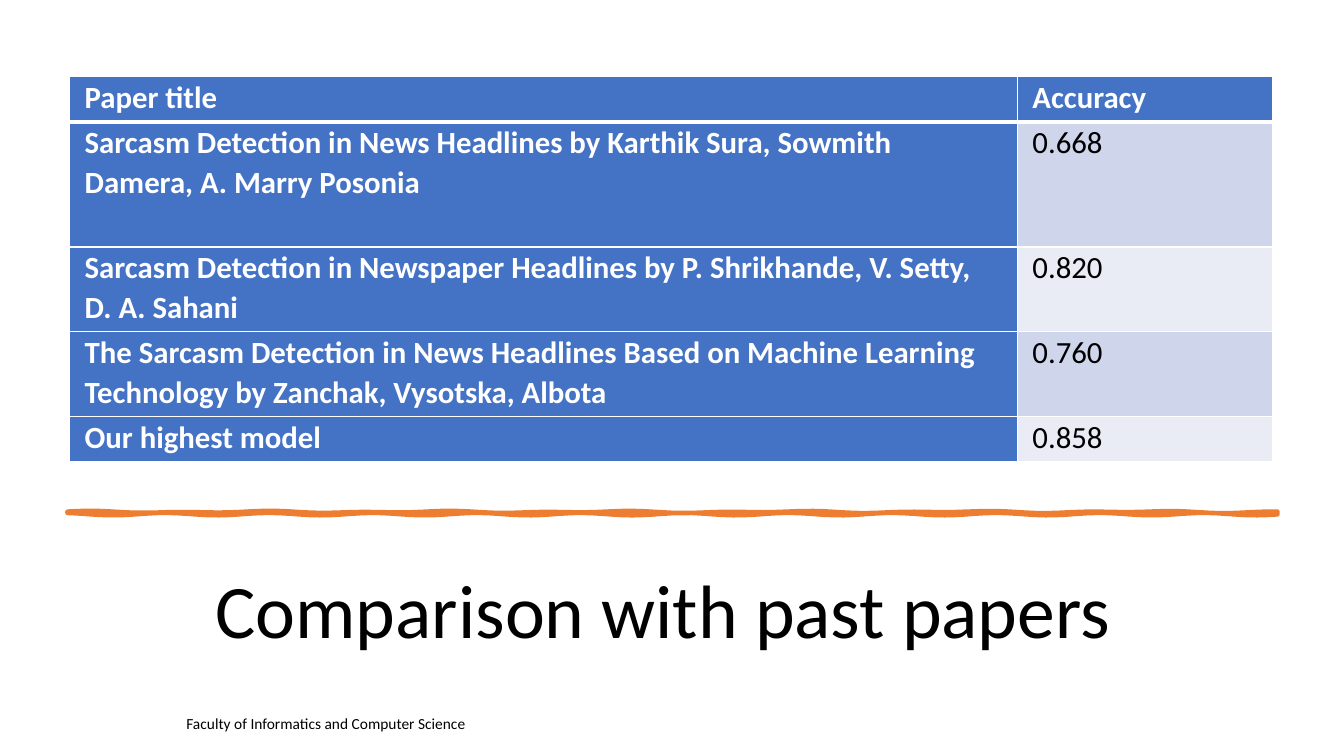
from math import sin

from lxml import etree
from pptx import Presentation
from pptx.dml.color import RGBColor
from pptx.enum.text import MSO_ANCHOR, PP_ALIGN
from pptx.oxml.ns import qn
from pptx.util import Inches, Pt

CENTER, LEFT = PP_ALIGN.CENTER, PP_ALIGN.LEFT
MIDDLE, TOP = MSO_ANCHOR.MIDDLE, MSO_ANCHOR.TOP
TITLE_ONLY = 5
COLORS = {
    "text": "000000", "white": "FFFFFF", "blue": "4472C4",
    "band": "CFD5EA", "light": "E9EBF5", "orange": "ED7D31",
}
HEADING = {"size": Pt(22), "bold": True}
VALUE = {"size": Pt(22), "bold": False}
TITLE = {"size": Pt(54), "bold": False}
FOOTER = {"size": Pt(11), "bold": False}
PAPERS = [
    ("Paper title", "Accuracy"),
    ("Sarcasm Detection in News Headlines by Karthik Sura, Sowmith Damera, A. Marry Posonia", "0.668"),
    ("Sarcasm Detection in Newspaper Headlines by P. Shrikhande, V. Setty, D. A. Sahani", "0.820"),
    ("The Sarcasm Detection in News Headlines Based on Machine Learning Technology by Zanchak, Vysotska, Albota", "0.760"),
    ("Our highest model", "0.858"),
]
COLUMN_WIDTHS = [9.4, 2.53]
ROW_HEIGHTS = [0.45, 1.24, 0.84, 0.84, 0.45]


def rgb(name):
    """Return the named colour."""
    return RGBColor.from_string(COLORS[name])


def place(shape, box):
    """Move a shape to a box of left, top, width and height in inches."""
    for name, length in zip(("left", "top", "width", "height"), box):
        setattr(shape, name, Inches(length))


def write(frame, text, style, color, align=LEFT, spacing=1.0):
    """Write one formatted paragraph into a text frame."""
    frame.word_wrap = True
    para = frame.paragraphs[0]
    para.alignment, para.line_spacing = align, spacing
    span = para.add_run()
    span.text = text
    for name, value in {"name": "Calibri", **style}.items():
        setattr(span.font, name, value)
    span.font.color.rgb = rgb(color)


def add_borders(cell, widths):
    """Give a cell white borders of the given widths in points."""
    properties = cell._tc.get_or_add_tcPr()
    for side, width in widths.items():
        line = etree.SubElement(properties, qn(f"a:ln{side}"), w=str(Pt(width)))
        fill = etree.SubElement(line, qn("a:solidFill"))
        etree.SubElement(fill, qn("a:srgbClr"), val=COLORS["white"])


def add_papers(page, box):
    """Add the table of papers and their accuracy."""
    frame = page.shapes.add_table(len(PAPERS), len(COLUMN_WIDTHS), *map(Inches, box))
    table = frame.table
    table.first_col = True
    for column, width in zip(table.columns, COLUMN_WIDTHS):
        column.width = Inches(width)
    for number, (row, height) in enumerate(zip(table.rows, ROW_HEIGHTS)):
        row.height = Inches(height)
        borders = {"L": 1, "R": 1, "T": 3 if number == 1 else 1, "B": 3 if number == 0 else 1}
        for position, (cell, text) in enumerate(zip(row.cells, PAPERS[number])):
            heading = number == 0 or position == 0
            add_borders(cell, borders)
            cell.margin_left = cell.margin_right = Inches(0.15)
            cell.margin_top = cell.margin_bottom = 0
            cell.fill.solid()
            cell.fill.fore_color.rgb = rgb("blue" if heading else "band" if number % 2 else "light")
            style, color = (HEADING, "white") if heading else (VALUE, "text")
            write(cell.text_frame, text, style, color, spacing=1.07)


def add_brush_line(page, box):
    """Draw a hand-brushed line whose two edges waver along the box."""
    left, top, width, height = box
    steps = [left + width * step / 120 for step in range(121)]
    upper = [(x, top + 0.012 * sin(5.3 * x) * sin(1.7 * x)) for x in steps]
    lower = [(x, top + height + 0.012 * sin(6.1 * x + 1)) for x in reversed(steps)]
    points = [(Inches(x), Inches(y)) for x, y in upper + lower]
    builder = page.shapes.build_freeform(*points[0])
    builder.add_line_segments(points[1:], close=True)
    stroke = builder.convert_to_shape()
    stroke.shadow.inherit = False
    stroke.fill.solid()
    stroke.fill.fore_color.rgb = rgb("orange")
    stroke.line.color.rgb = rgb("orange")
    stroke.line.width = Pt(3.25)


def add_title(page, box):
    """Fill the title placeholder."""
    title = page.shapes.title
    place(title, box)
    title.text_frame.vertical_anchor = MIDDLE
    write(title.text_frame, "Comparison with past papers ", TITLE, "text", CENTER, 0.9)


def add_footer(page, box):
    """Add the faculty name at the foot of the slide."""
    footer = page.shapes.add_textbox(*map(Inches, box))
    footer.text_frame.vertical_anchor = TOP
    write(footer.text_frame, "Faculty of Informatics and Computer Science", FOOTER, "text")


def main():
    """Build and save the slide."""
    deck = Presentation()
    deck.slide_width, deck.slide_height = Inches(13.33), Inches(7.5)
    page = deck.slides.add_slide(deck.slide_layouts[TITLE_ONLY])
    add_footer(page, (1.75, 7.04, 3, 0.3))
    add_title(page, (0.69, 5.37, 11.94, 1.44))
    add_brush_line(page, (0.67, 5.08, 12, 0.02))
    add_papers(page, (0.69, 0.76, sum(COLUMN_WIDTHS), sum(ROW_HEIGHTS)))
    deck.save("out.pptx")


if __name__ == "__main__":
    main()
